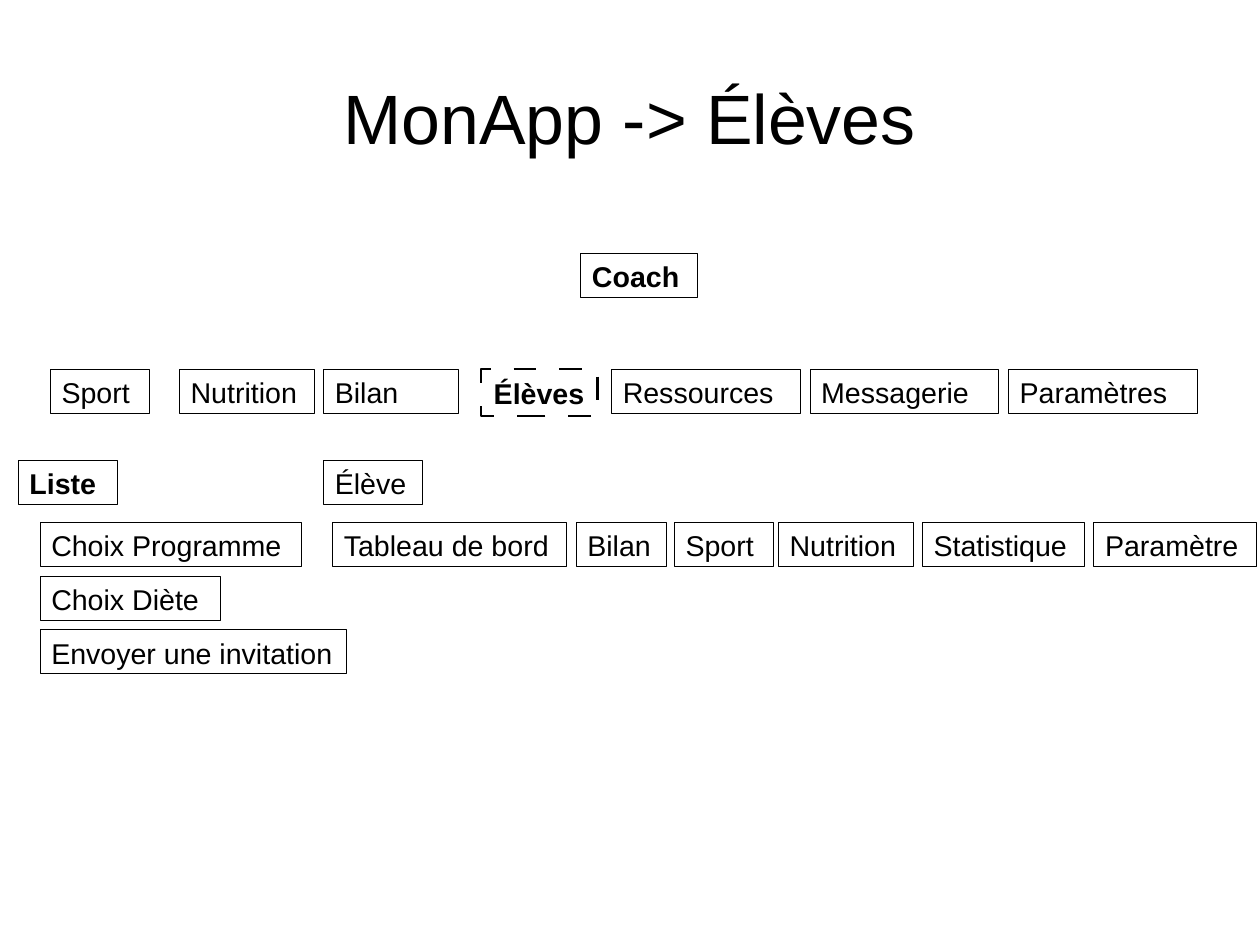
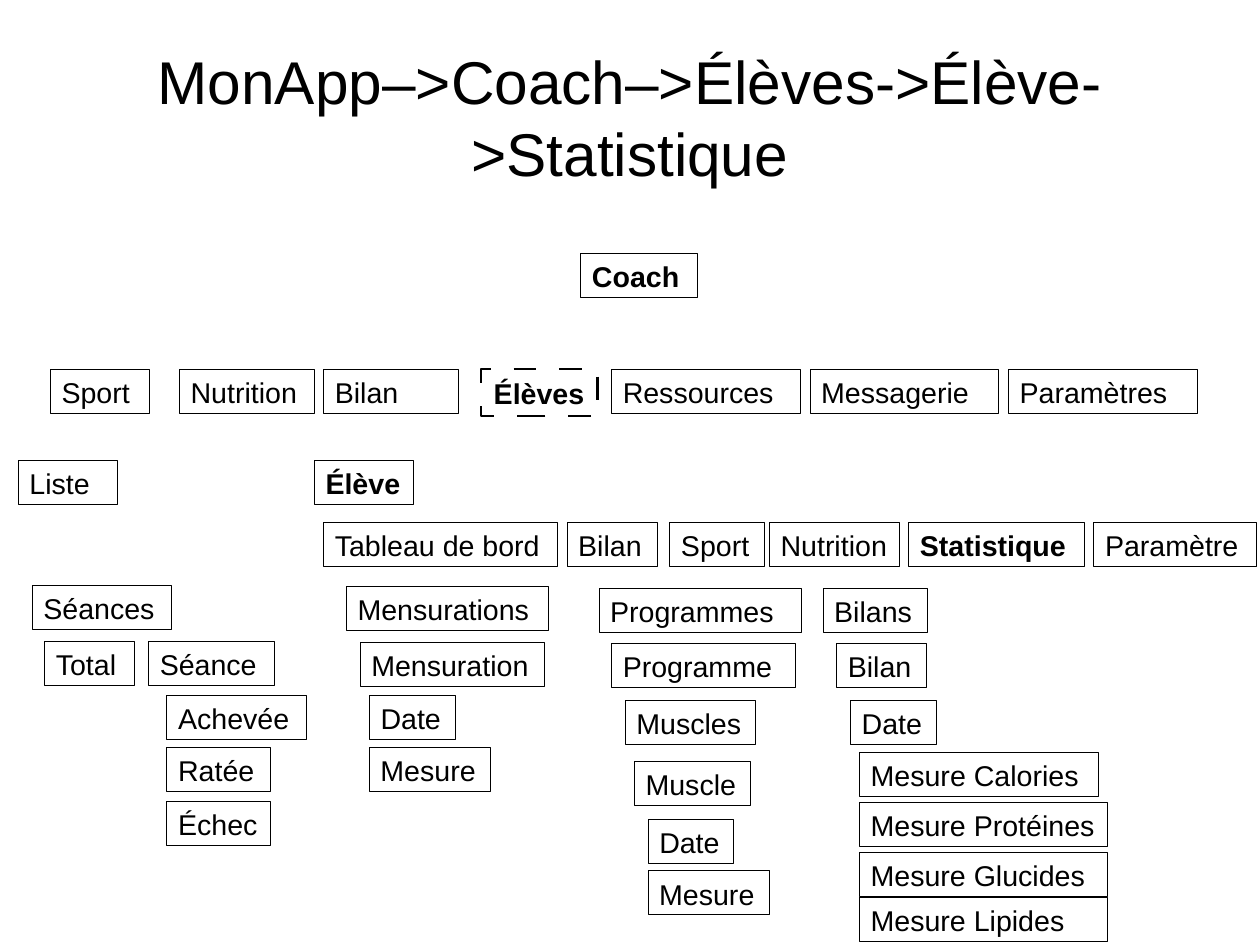
from lxml.etree import SubElement
from pptx import Presentation
from pptx.dml.color import RGBColor
from pptx.enum.shapes import MSO_SHAPE
from pptx.enum.text import MSO_ANCHOR, PP_ALIGN
from pptx.oxml.ns import qn
from pptx.util import Pt

COLORS = {"text": "000000", "border": "000000"}
FONT = "Arial"
PAGE_WIDTH, PAGE_HEIGHT = 793.7, 595.3
TITLE_TOP, TITLE_HEIGHT = 23.8, 99.2
BOX_HEIGHT = 27.7
NAVIGATION_TOP = 232.6
LIST_TOP = 290
TABS_TOP = 329


def add_text(page, text, left, top, width, height=BOX_HEIGHT, size=18, bold=False,
             align=PP_ALIGN.LEFT, anchor=MSO_ANCHOR.TOP, inset=(7.2, 3.6), border=0.5):
    """Add a rectangle with text; a border of 0 leaves it without an outline."""
    box = page.shapes.add_shape(MSO_SHAPE.RECTANGLE, Pt(left), Pt(top), Pt(width), Pt(height))
    box.shadow.inherit = False
    box.fill.background()
    if border:
        box.line.color.rgb = RGBColor.from_string(COLORS["border"])
        box.line.width = Pt(border)
    else:
        box.line.fill.background()
    frame = box.text_frame
    frame.word_wrap = True
    frame.vertical_anchor = anchor
    frame.margin_left, frame.margin_top = Pt(inset[0]), Pt(inset[1])
    frame.margin_right = frame.margin_bottom = 0
    para = frame.paragraphs[0]
    para.alignment = align
    span = para.add_run()
    span.text = text
    span.font.name = FONT
    span.font.size = Pt(size)
    span.font.bold = bold
    span.font.color.rgb = RGBColor.from_string(COLORS["text"])
    return box


def set_long_dash(box):
    """Dash the outline with dashes and gaps of 9.6 line widths each."""
    line = box._element.spPr.find(qn("a:ln"))
    dashes = SubElement(line, qn("a:custDash"))
    SubElement(dashes, qn("a:ds"), d="960000", sp="960000")


# Each box is (text, left, top, width).
navigation = [
    ("Coach", 365.8, 159.8, 73.4),
    ("Sport", 31.7, NAVIGATION_TOP, 62.6),
    ("Nutrition", 113, NAVIGATION_TOP, 85),
    ("Bilan", 203.8, NAVIGATION_TOP, 85),
    ("Liste", 11.5, LIST_TOP, 62.6),
    ("Paramètre", 689, TABS_TOP, 102.2),
]
for column, name in enumerate(["Ressources", "Messagerie", "Paramètres"]):
    navigation.append((name, 385.2 + 125 * column, NAVIGATION_TOP, 118.8))

student_list = [
    ("Élève", 203.8, LIST_TOP, 62.6),
    ("Tableau de bord", 209.5, TABS_TOP, 147.6),
    ("Bilan", 362.9, TABS_TOP, 56.9),
    ("Sport", 424.8, TABS_TOP, 62.6),
    ("Nutrition", 490.3, TABS_TOP, 85),
    ("Statistique", 581, TABS_TOP, 102.2),
]
choices = [("Choix Programme", 164.9), ("Choix Diète", 113.8), ("Envoyer une invitation", 193)]
for row, (name, width) in enumerate(choices):
    student_list.append((name, 25.2, TABS_TOP + 33.9 * row, width))

statistics = [
    ("Élève", 198, LIST_TOP, 62.6),
    ("Tableau de bord", 203.8, TABS_TOP, 147.6),
    ("Bilan", 357.1, TABS_TOP, 56.9),
    ("Sport", 421.9, TABS_TOP, 59.8),
    ("Nutrition", 484.6, TABS_TOP, 82),
    ("Statistique", 572.4, TABS_TOP, 110.9),
    # Sessions
    ("Séances", 20.2, 368.6, 87.8),
    ("Total", 28.1, 403.9, 56.9),
    ("Séance", 93.6, 403.9, 79.2),
    ("Achevée", 105.1, 437.8, 87.8),
    ("Ratée", 105.1, 471, 65.5),
    ("Échec", 105.1, 504.7, 65.5),
    # Body measurements
    ("Mensurations", 218.2, 369.4, 127.4),
    ("Mensuration", 226.8, 404.6, 115.9),
    ("Date", 232.6, 437.8, 54),
    ("Mesure", 232.6, 471, 76.3),
    # Programmes
    ("Programmes", 377.3, 370.8, 127.4),
    ("Programme", 385.2, 405.4, 115.9),
    ("Muscles", 393.8, 441.4, 82),
    ("Muscle", 399.6, 479.5, 73.4),
    ("Date", 408.2, 516.2, 54),
    ("Mesure", 408.2, 548.6, 76.3),
    # Reviews
    ("Bilans", 518.4, 370.8, 65.5),
    ("Bilan", 527, 405.4, 56.9),
    ("Date", 535.7, 441.4, 54),
    ("Mesure Calories", 541.4, 473.8, 150.5),
    ("Mesure Protéines", 541.4, 505.4, 156.2),
    ("Mesure Glucides", 541.4, 537.1, 156.2),
    ("Mesure Lipides", 541.4, 565.2, 156.2),
]

# Each page is (title, title size, title margin, bold names, boxes).
pages = [
    ("MonApp -> Élèves", 44, 39.7, {"Coach", "Liste"}, student_list),
    ("MonApp–>Coach–>Élèves->Élève->Statistique", 38, 5.5,
     {"Coach", "Élève", "Statistique"}, statistics),
]

deck = Presentation()
deck.slide_width, deck.slide_height = Pt(PAGE_WIDTH), Pt(PAGE_HEIGHT)
for title, title_size, margin, bold_names, boxes in pages:
    page = deck.slides.add_slide(deck.slide_layouts[6])
    add_text(page, title, margin, TITLE_TOP, PAGE_WIDTH - 2 * margin, TITLE_HEIGHT,
             size=title_size, align=PP_ALIGN.CENTER, anchor=MSO_ANCHOR.MIDDLE,
             inset=(0, 0), border=0)
    for name, left, top, width in navigation + boxes:
        add_text(page, name, left, top, width, bold=name in bold_names)
    current = add_text(page, "Élèves", 303.1, NAVIGATION_TOP, 73.4, 29.5, bold=True,
                       inset=(7.9, 4.3), border=1.5)
    set_long_dash(current)

deck.save("out.pptx")
